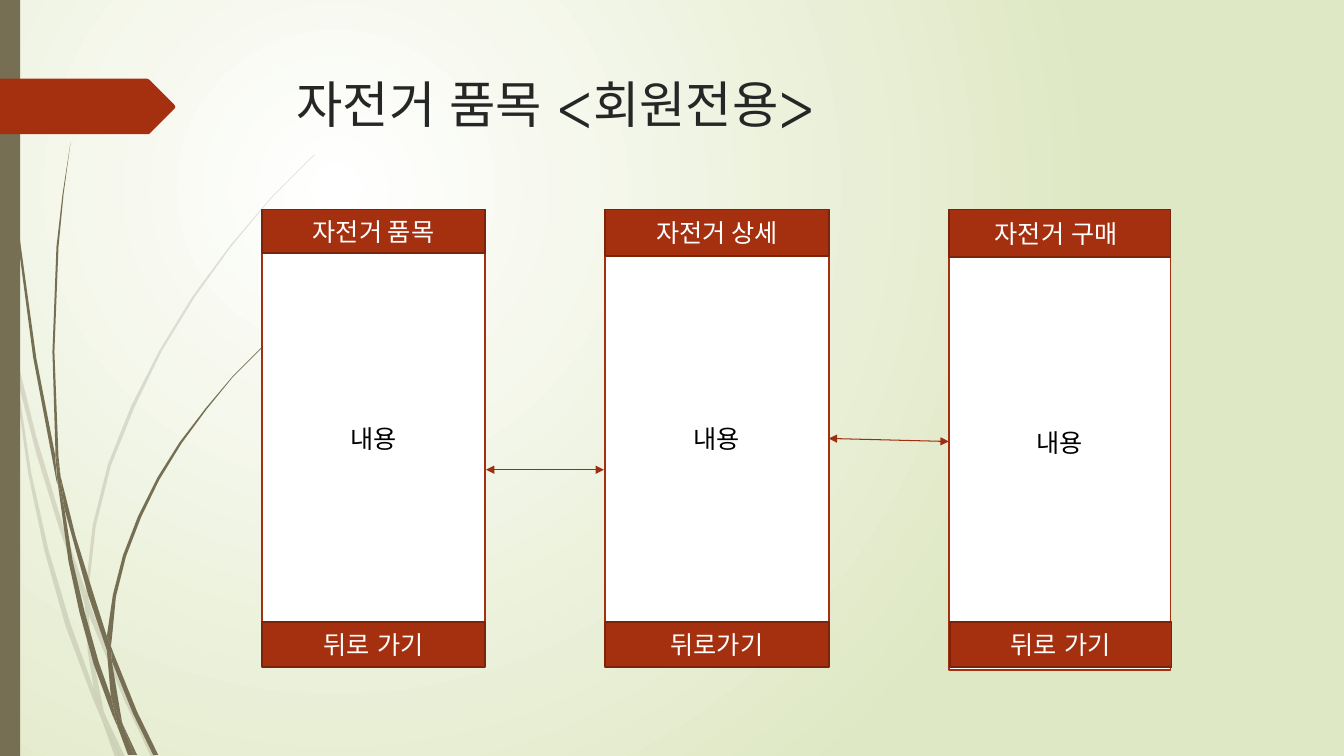
from dataclasses import dataclass

from lxml import etree
from pptx import Presentation
from pptx.dml.color import RGBColor
from pptx.enum.shapes import MSO_CONNECTOR, MSO_SHAPE
from pptx.enum.text import MSO_ANCHOR, PP_ALIGN
from pptx.oxml.ns import qn
from pptx.util import Inches, Pt

RECTANGLE = MSO_SHAPE.RECTANGLE
STRAIGHT = MSO_CONNECTOR.STRAIGHT
TOP, MIDDLE = MSO_ANCHOR.TOP, MSO_ANCHOR.MIDDLE
LEFT, CENTER = PP_ALIGN.LEFT, PP_ALIGN.CENTER

COLORS = {
    "white": "FFFFFF", "black": "000000", "title": "262626", "pale": "DFE8C4",
    "olive": "766F54", "rust": "A53010", "edge": "7A240C", "arrow": "9E2E0F",
}
LATIN_FONT, KOREAN_FONT = "TeX Gyre Adventor", "Noto Sans CJK KR"
CARD_TOP, CARD_HEIGHT = 2.08, 4.53
FOOTER_TOP, FOOTER_HEIGHT = 6.17, 0.45

Outline = list[tuple[float, float]]


@dataclass
class Grass:
    """Tuft of grass: the outlines of its blade sections."""
    alpha: int
    sections: list[Outline]


@dataclass
class Card:
    left: float
    width: float
    heading: str
    heading_height: float
    back_label: str
    heading_font: str = KOREAN_FONT
    body_drop: float = 0
    footer_shift: float = 0


@dataclass
class Arrow:
    start: tuple[float, float]
    end: tuple[float, float]


PALE_GRASS = Grass(20, [
    [(0.11, 3.5), (0.09, 3.22), (0, 2.82), (0, 2.99), (0.1, 3.44)],
    [(0.58, 5.22), (0.84, 5.99), (0.85, 5.86), (0.62, 5.2), (0.36, 4.33), (0.14, 3.45),
     (0.17, 3.76), (0.36, 4.5)],
    [(0.92, 6.07), (0.88, 5.96), (0.88, 6.1), (1.23, 6.94), (1.5, 7.51), (1.55, 7.51), (1.27, 6.92)],
    [(1.19, 7.51), (1.24, 7.51), (1.05, 7.11)],
    [(0.93, 6.83), (0.7, 6.19), (0.48, 5.45), (0.31, 4.69), (0.17, 3.76), (0.11, 3.5), (0.28, 4.7),
     (0.44, 5.46), (0.65, 6.21), (0.92, 6.93), (1.01, 7.14), (0.99, 7.07)],
    [(0.84, 5.99), (0.87, 6.46), (0.93, 6.83), (0.96, 6.92), (1.05, 7.11), (1.03, 7.06),
     (0.91, 6.46), (0.88, 6.1), (0.88, 6.08)],
    [(0.88, 5.84), (0.95, 5.22), (1.1, 4.62), (1.33, 4.05), (1.6, 3.49), (1.93, 2.95), (2.29, 2.45),
     (2.68, 1.98), (3.12, 1.54), (3.12, 1.53), (2.68, 1.97), (2.28, 2.44), (1.91, 2.94), (1.58, 3.48),
     (1.3, 4.03), (1.07, 4.61), (0.92, 5.21), (0.85, 5.84), (0.85, 5.86), (0.88, 5.96)],
    [(1.01, 7.14), (1.14, 7.51), (1.19, 7.51)],
    [(0.88, 6.08), (0.88, 6.1), (0.88, 5.96), (0.85, 5.86), (0.84, 5.99)],
    [(0.96, 6.92), (0.93, 6.83), (0.99, 7.07), (1.01, 7.14), (1.19, 7.51), (1.05, 7.11)],
])
DARK_GRASS = Grass(100, [
    [(0.07, 1.1), (0.17, 2.33), (0.33, 3.55), (0.56, 4.77), (0.57, 4.81), (0.55, 4.57), (0.55, 4.53),
     (0.36, 3.55), (0.19, 2.32), (0.08, 1.09), (0.05, 0.48), (0.04, 0), (0.03, 0), (0.04, 0.48)],
    [(0.88, 5.92), (1.06, 6.45), (1.06, 6.33), (1.06, 6.31), (0.93, 5.9), (0.75, 5.32), (0.6, 4.72),
     (0.64, 5.05)],
    [(1.13, 6.49), (1.1, 6.41), (1.11, 6.56), (1.32, 7.08), (1.52, 7.49), (1.57, 7.49), (1.36, 7.06)],
    [(1.1, 6.91), (0.98, 6.57), (0.84, 6.07), (0.72, 5.56), (0.64, 5.05), (0.57, 4.77), (0.68, 5.57),
     (0.79, 6.08), (0.93, 6.59), (1.11, 7.08), (1.17, 7.22), (1.16, 7.17)],
    [(0.6, 4.72), (0.58, 4.53), (0.54, 3.49), (0.58, 2.45), (0.63, 1.93), (0.7, 1.41), (0.62, 1.93),
     (0.56, 2.45), (0.52, 3.49), (0.55, 4.49)],
    [(1.33, 7.49), (1.36, 7.49), (1.22, 7.19)],
    [(0.57, 4.77), (0.64, 5.05), (0.6, 4.72), (0.55, 4.49), (0.55, 4.53)],
    [(1.11, 6.33), (1.15, 5.92), (1.25, 5.52), (1.4, 5.13), (1.58, 4.76), (1.8, 4.4), (2.05, 4.06),
     (2.31, 3.74), (2.61, 3.44), (2.6, 3.44), (2.31, 3.73), (2.04, 4.05), (1.78, 4.39), (1.56, 4.74),
     (1.37, 5.12), (1.22, 5.51), (1.12, 5.9), (1.06, 6.31), (1.1, 6.41)],
    [(1.17, 7.22), (1.27, 7.49), (1.31, 7.49)],
    [(1.06, 6.45), (1.1, 6.91), (1.16, 7.06), (1.22, 7.19), (1.21, 7.16), (1.11, 6.56), (1.09, 6.51)],
    [(1.06, 6.45), (1.09, 6.51), (1.11, 6.56), (1.1, 6.41), (1.06, 6.31)],
    [(1.16, 7.06), (1.1, 6.91), (1.16, 7.17), (1.17, 7.22), (1.3, 7.49), (1.33, 7.49), (1.22, 7.19)],
])
TAB = [(0, 0.78), (1.46, 0.78), (1.48, 0.79), (1.73, 1.04), (1.74, 1.06), (1.73, 1.08),
       (1.48, 1.33), (1.46, 1.33), (0, 1.33)]
CARDS = [
    Card(2.6, 2.21, "자전거 품목", 0.43, "뒤로 가기"),
    Card(6, 2.22, "자전거 상세", 0.46, "뒤로가기"),
    Card(9.41, 2.2, "자전거 구매 ", 0.47, "뒤로 가기", LATIN_FONT, 0.04, 0.01),
]
ARROWS = [Arrow((4.82, 4.66), (5.99, 4.66)), Arrow((8.22, 4.35), (9.41, 4.38))]


def rgb(name: str) -> RGBColor:
    return RGBColor.from_string(COLORS[name])


def write_text(frame, text: str, *, size: float = 18, color: str = "white",
               font: str = LATIN_FONT, align=CENTER, anchor=MIDDLE) -> None:
    frame.word_wrap = True
    frame.vertical_anchor = anchor
    paragraph = frame.paragraphs[0]
    paragraph.alignment = align
    run = paragraph.add_run()
    run.text = text
    run.font.size = Pt(size)
    run.font.color.rgb = rgb(color)
    run.font.name = font
    etree.SubElement(run.font._element, qn("a:ea"), typeface=font)


def paint(shape, fill: str, line: str | None = None) -> None:
    shape.shadow.inherit = False
    shape.fill.solid()
    shape.fill.fore_color.rgb = rgb(fill)
    if line:
        shape.line.color.rgb = rgb(line)
        shape.line.width = Pt(1.25)
    else:
        shape.line.fill.background()


def add_box(slide, left: float, top: float, width: float, height: float,
            fill: str, line: str | None = None):
    box = slide.shapes.add_shape(RECTANGLE, Inches(left), Inches(top), Inches(width), Inches(height))
    paint(box, fill, line)
    return box


def add_outline(slide, points: Outline, fill: str):
    corners = [(Inches(x), Inches(y)) for x, y in points]
    builder = slide.shapes.build_freeform(*corners[0])
    builder.add_line_segments(corners[1:], close=True)
    outline = builder.convert_to_shape()
    paint(outline, fill)
    return outline


def draw_grass(slide, grass: Grass) -> None:
    for section in grass.sections:
        blade = add_outline(slide, section, "olive")
        if grass.alpha < 100:
            color = blade._element.spPr.find(qn("a:solidFill"))[0]
            etree.SubElement(color, qn("a:alpha"), val=str(grass.alpha * 1000))


def draw_card(slide, card: Card) -> None:
    body = add_box(slide, card.left, CARD_TOP + card.body_drop, card.width, CARD_HEIGHT, "white", "rust")
    write_text(body.text_frame, "내용", color="black")
    heading = add_box(slide, card.left, CARD_TOP, card.width, card.heading_height, "rust", "edge")
    write_text(heading.text_frame, card.heading, font=card.heading_font)
    footer = add_box(slide, card.left + card.footer_shift, FOOTER_TOP, card.width, FOOTER_HEIGHT,
                     "rust", "edge")
    write_text(footer.text_frame, card.back_label)


def draw_arrow(slide, arrow: Arrow) -> None:
    ends = [Inches(value) for value in (*arrow.start, *arrow.end)]
    connector = slide.shapes.add_connector(STRAIGHT, *ends)
    connector.line.color.rgb = rgb("arrow")
    connector.line.width = Pt(0.75)
    line = connector.line._get_or_add_ln()
    for tag in ("a:headEnd", "a:tailEnd"):
        etree.SubElement(line, qn(tag), type="triangle")
    etree.SubElement(connector._element.spPr, qn("a:effectLst"))


def paint_background(slide) -> None:
    fill = slide.background.fill
    fill.gradient()
    for stop, color in zip(fill.gradient_stops, ("white", "pale")):
        stop.color.rgb = rgb(color)
    gradient = slide._element.find(".//" + qn("a:gradFill"))
    gradient.remove(gradient.find(qn("a:lin")))
    circle = etree.SubElement(gradient, qn("a:path"), path="circle")
    etree.SubElement(circle, qn("a:fillToRect"), l="50000", t="50000", r="100000", b="100000")


def main() -> None:
    deck = Presentation()
    deck.slide_width, deck.slide_height = Inches(13.33), Inches(7.5)
    slide = deck.slides.add_slide(deck.slide_layouts[5])
    # Backdrop: gradient, grass, side bar and tab
    paint_background(slide)
    for grass in (PALE_GRASS, DARK_GRASS):
        draw_grass(slide, grass)
    add_box(slide, 0, 0, 0.2, 7.5, "olive")
    add_outline(slide, TAB, "rust")
    # Title
    title = slide.shapes.title
    title.left, title.top, title.width, title.height = map(Inches, (2.84, 0.68, 9.75, 1.4))
    write_text(title.text_frame, "자전거 품목 <회원전용>", size=36, color="title", align=LEFT, anchor=TOP)
    # Screens and the arrows between them
    for card in CARDS:
        draw_card(slide, card)
    for arrow in ARROWS:
        draw_arrow(slide, arrow)
    deck.save("out.pptx")


if __name__ == "__main__":
    main()
